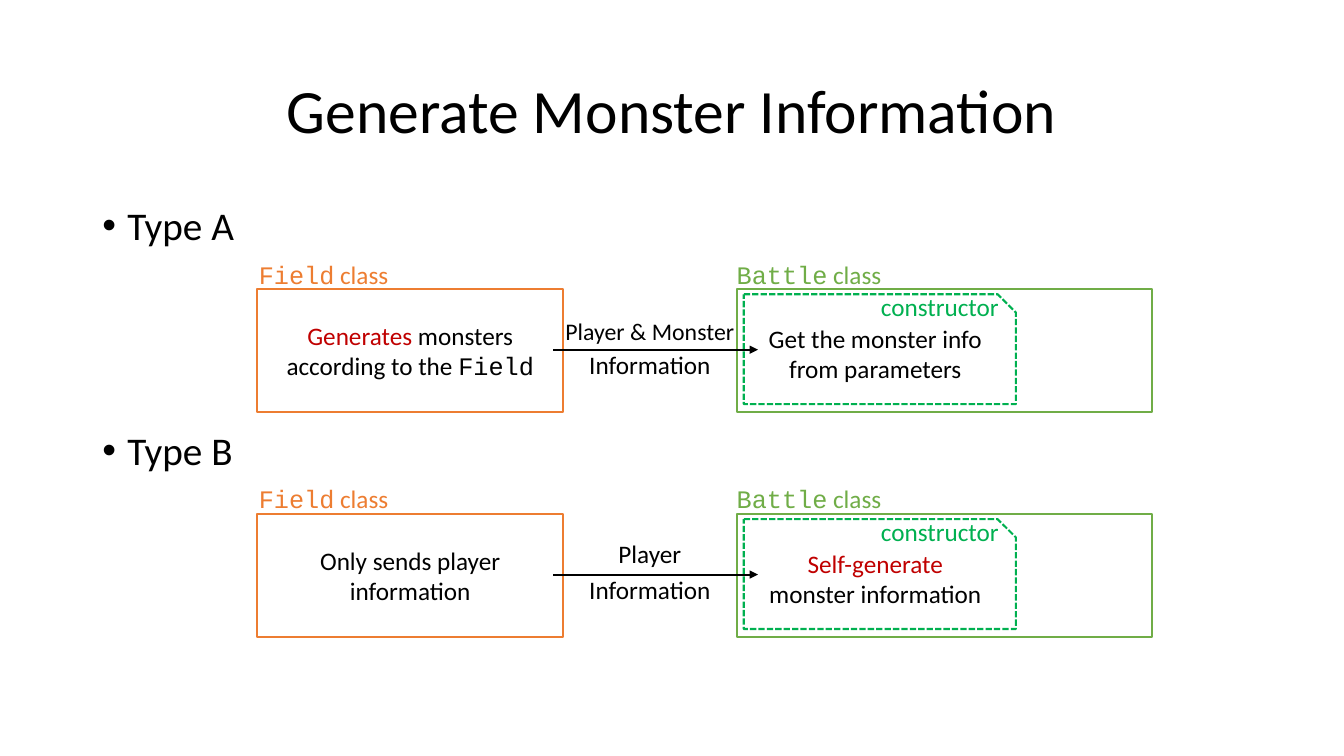
from lxml import etree
from pptx import Presentation
from pptx.dml.color import RGBColor
from pptx.enum.dml import MSO_LINE
from pptx.enum.shapes import MSO_CONNECTOR, MSO_SHAPE
from pptx.enum.text import MSO_ANCHOR, PP_ALIGN
from pptx.oxml.ns import qn
from pptx.util import Pt

BLACK = RGBColor(0x00, 0x00, 0x00)
RED = RGBColor(0xC0, 0x00, 0x00)
ORANGE = RGBColor(0xED, 0x7D, 0x31)
GREEN = RGBColor(0x70, 0xAD, 0x47)
BRIGHT_GREEN = RGBColor(0x00, 0xB0, 0x50)
SANS, MONO = "Calibri", "Courier New"
LEFT, CENTER = PP_ALIGN.LEFT, PP_ALIGN.CENTER
TOP, MIDDLE = MSO_ANCHOR.TOP, MSO_ANCHOR.MIDDLE
RECTANGLE, SNIPPED = MSO_SHAPE.RECTANGLE, MSO_SHAPE.SNIP_1_RECTANGLE
DASHED = MSO_LINE.SQUARE_DOT
STRAIGHT = MSO_CONNECTOR.STRAIGHT
LINE_BREAK = "\n"
TITLE_ONLY = 5

TYPES = [
    {
        "name": "Type A",
        "field": [("Generates", RED, SANS), (" monsters according to the ", BLACK, SANS),
                  ("Field", BLACK, MONO)],
        "message": ("Player & Monster", 17, 78.5),
        "battle": [("Get the monster info from parameters", BLACK, SANS)],
    },
    {
        "name": "Type B",
        "field": [("Only sends player information", BLACK, SANS)],
        "message": ("Player", 18, 76.3),
        "battle": [("Self-generate", RED, SANS), (LINE_BREAK, RED, SANS),
                   ("monster information", BLACK, SANS)],
    },
]


def set_format(target, values):
    """Set every attribute of the target named in values."""
    for name, value in values.items():
        setattr(target, name, value)


def write_runs(shape, runs, size=18, align=LEFT, anchor=TOP, wrap=True, spacing=1.0):
    """Fill the shape with one paragraph of (text, colour, font) runs."""
    set_format(shape.text_frame, {"word_wrap": wrap, "vertical_anchor": anchor})
    paragraph = shape.text_frame.paragraphs[0]
    set_format(paragraph, {"alignment": align, "line_spacing": spacing})
    for text, color, font in runs:
        if text == LINE_BREAK:
            paragraph.add_line_break()
            continue
        run = paragraph.add_run()
        run.text = text
        set_format(run.font, {"name": font, "size": Pt(size)})
        run.font.color.rgb = color
    return paragraph


def add_text(slide, box, runs, **options):
    """Add a text box holding the runs."""
    shape = slide.shapes.add_textbox(*map(Pt, box))
    return write_runs(shape, runs, **options)


def add_outline(slide, kind, box, color, runs=(), dash=None):
    """Add an unfilled shape with a coloured outline and centred text."""
    shape = slide.shapes.add_shape(kind, *map(Pt, box))
    shape.shadow.inherit = False
    shape.fill.background()
    shape.line.color.rgb = color
    set_format(shape.line, {"width": Pt(1.5), "dash_style": dash})
    write_runs(shape, runs, align=CENTER, anchor=MIDDLE)


def add_arrow(slide, left, top, width):
    """Add a level arrow pointing right."""
    arrow = slide.shapes.add_connector(STRAIGHT, Pt(left), Pt(top), Pt(left + width), Pt(top))
    arrow.line.color.rgb = BLACK
    arrow.line.width = Pt(1.5)
    etree.SubElement(arrow.line._get_or_add_ln(), qn("a:tailEnd"), type="triangle")
    etree.SubElement(arrow._element.spPr, qn("a:effectLst"))


def add_title(slide, box, text):
    """Place and format the title placeholder."""
    title = slide.shapes.title
    set_format(title, dict(zip(("left", "top", "width", "height"), map(Pt, box))))
    write_runs(title, [(text, BLACK, SANS)], size=44, align=CENTER, anchor=MIDDLE, spacing=0.9)


def add_bullet(slide, box, text):
    """Add a bulleted heading with a hanging indent."""
    paragraph = add_text(slide, box, [(text, BLACK, SANS)], size=28, spacing=0.9)
    properties = paragraph._p.get_or_add_pPr()
    properties.set("marL", str(Pt(18)))
    properties.set("indent", str(Pt(-18)))
    etree.SubElement(properties, qn("a:buFont"), typeface="Arial")
    etree.SubElement(properties, qn("a:buChar"), char="•")


def add_field(slide, left, top, runs):
    """Draw the Field class with its label."""
    add_outline(slide, RECTANGLE, (left, top, 218.9, 87.8), ORANGE, runs)
    label = [("Field", ORANGE, MONO), (" class", ORANGE, SANS)]
    add_text(slide, (left - 5.8, top - 25.2, 108, 28.8), label, wrap=False)


def add_battle(slide, left, top, runs):
    """Draw the Battle class with its label and constructor."""
    add_outline(slide, RECTANGLE, (left, top, 296.6, 87.8), GREEN)
    label = [("Battle", GREEN, MONO), (" class", GREEN, SANS)]
    add_text(slide, (left - 7.2, top - 25.2, 118.8, 28.8), label)
    add_outline(slide, SNIPPED, (left + 5, top + 3.6, 194.4, 78.5), BRIGHT_GREEN, runs, DASHED)
    constructor = [("constructor", BRIGHT_GREEN, SANS)]
    add_text(slide, (left + 95.8, top - 2.1, 99.4, 28.8), constructor)


def add_type(slide, box, content):
    """Draw one type: heading, both classes and the message between them."""
    left, top, width, _ = box
    add_bullet(slide, (left, top, width, 38), content["name"])
    add_field(slide, left + 117.6, top + 62.6, content["field"])
    add_battle(slide, left + 460.3, top + 62.6, content["battle"])
    add_arrow(slide, left + 329.3, top + 105.8, 146.1)
    for text, size, offset in (content["message"], ("Information", 18, 102.2)):
        add_text(slide, (left + 330, top + offset, 136.4, 28.8), [(text, BLACK, SANS)],
                 size=size, align=CENTER, wrap=False)


def main():
    """Build and save the slide."""
    presentation = Presentation()
    set_format(presentation, {"slide_width": Pt(960), "slide_height": Pt(540)})
    slide = presentation.slides.add_slide(presentation.slide_layouts[TITLE_ONLY])
    add_title(slide, (66, 28.8, 828, 104.4), "Generate Monster Information")
    pitch = 160.6
    for row, content in enumerate(TYPES):
        add_type(slide, (66, 144 + row * pitch, 828, pitch), content)
    presentation.save("out.pptx")


main()
